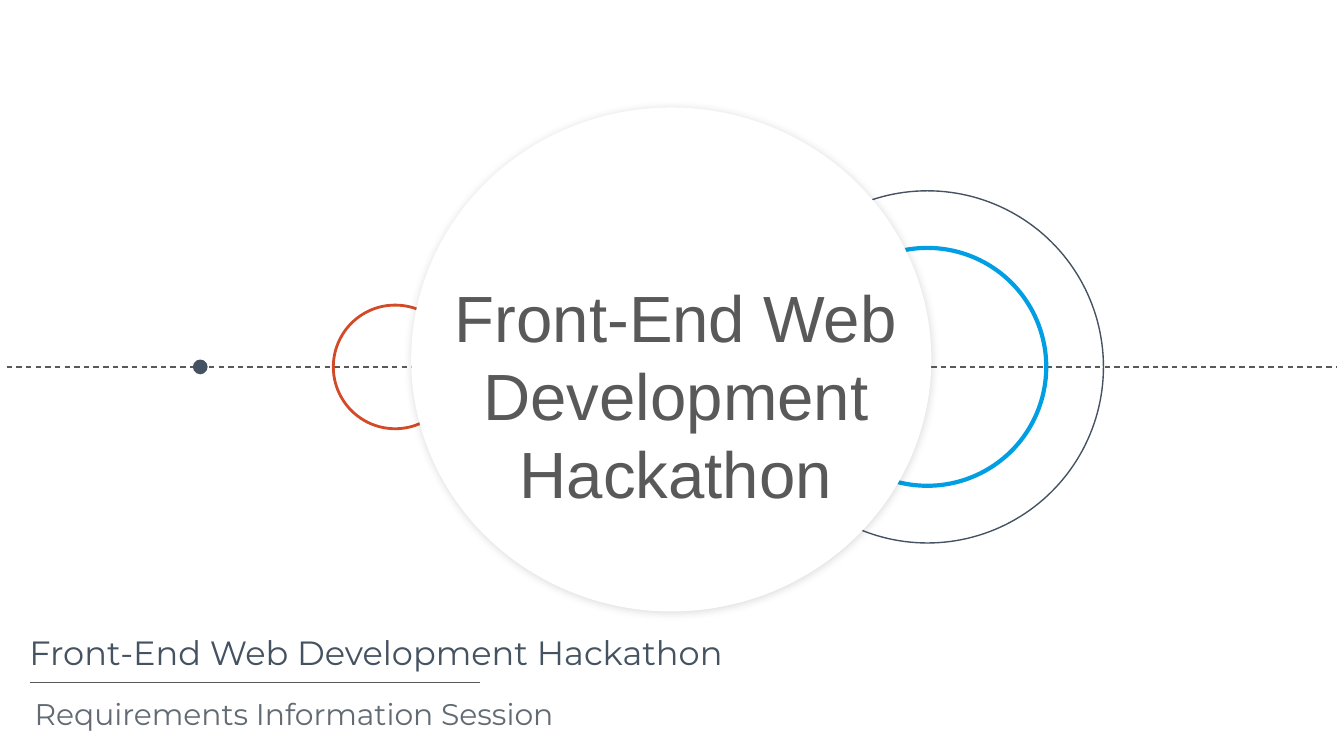
from lxml.etree import SubElement
from pptx import Presentation
from pptx.dml.color import RGBColor
from pptx.enum.dml import MSO_LINE
from pptx.enum.shapes import MSO_CONNECTOR, MSO_SHAPE
from pptx.enum.text import MSO_AUTO_SIZE, PP_ALIGN
from pptx.oxml.ns import qn
from pptx.util import Inches, Pt

WIDTH = 10
HEIGHT = WIDTH * 9 / 16
AXIS = 2.73
NAVY, GREY, BLUE, RED, SLATE, WHITE = "445261", "595959", "009FE3", "D44926", "626B73", "FFFFFF"
TITLE = "Front-End Web Development Hackathon"

CAPTIONS = [
    (TITLE, (0.12, 4.6, 9.47, 0.48), "Montserrat", 18, NAVY, PP_ALIGN.LEFT),
    ("Requirements Information Session", (0.16, 5.08, 9.47, 0.39), "Montserrat", 16, SLATE, PP_ALIGN.LEFT),
]
HEADLINE = (TITLE, (3.28, 1.96, 3.5, 1.97), "Arial", 35, GREY, PP_ALIGN.CENTER)
OUTER_RING = (6.9, 2.62, NAVY, 0.75)
INNER_RINGS = [(6.9, 1.77, BLUE, 2.25), (2.94, 0.92, RED, 1.5)]
DOT = (1.49, 0.11)
DISC = (3.06, 0.8, 3.87, 3.75)


def color(value):
    """Turn a hex string into a colour."""
    return RGBColor.from_string(value)


def add_ellipse(page, area, fill=None, line=None, weight=0):
    """Draw an ellipse with an optional fill and outline."""
    shape = page.shapes.add_shape(MSO_SHAPE.OVAL, *map(Inches, area))
    shape.shadow.inherit = False
    if fill:
        shape.fill.solid()
        shape.fill.fore_color.rgb = color(fill)
    else:
        shape.fill.background()
    if line:
        shape.line.color.rgb = color(line)
        shape.line.width = Pt(weight)
    else:
        shape.line.fill.background()
    return shape


def on_axis(center, size):
    """Return the square area centred on the horizontal axis."""
    return center - size / 2, AXIS - size / 2, size, size


def add_ring(page, center, size, line, weight):
    """Draw an open circle on the axis."""
    add_ellipse(page, on_axis(center, size), line=line, weight=weight)


def add_rule(page, left, right, y, dash=None):
    """Draw a thin horizontal line."""
    rule = page.shapes.add_connector(MSO_CONNECTOR.STRAIGHT, *map(Inches, (left, y, right, y)))
    rule.line.color.rgb = color(GREY)
    rule.line.width = Pt(0.75)
    if dash:
        rule.line.dash_style = dash
    SubElement(rule._element.spPr, qn("a:effectLst"))


def add_shadow(shape, blur, distance, angle, opacity):
    """Give a shape a soft black outer shadow."""
    effects = shape._element.spPr.find(qn("a:effectLst"))
    shadow = SubElement(effects, qn("a:outerShdw"), blurRad=str(Pt(blur)), dist=str(Pt(distance)),
                        dir=str(angle * 60000), algn="ctr", rotWithShape="0")
    tint = SubElement(shadow, qn("a:srgbClr"), val="000000")
    SubElement(tint, qn("a:alpha"), val=str(opacity * 1000))


def add_text(page, text, area, font, size, ink, align):
    """Add a wrapped text box with one paragraph and return its frame."""
    box = page.shapes.add_textbox(*map(Inches, area))
    frame = box.text_frame
    frame.word_wrap = True
    frame.margin_left = frame.margin_right = frame.margin_top = frame.margin_bottom = Inches(0.1)
    para = frame.paragraphs[0]
    para.alignment = align
    span = para.add_run()
    span.text = text
    span.font.name = font
    span.font.size = Pt(size)
    span.font.color.rgb = color(ink)
    return frame


def main():
    """Build and save the slide."""
    deck = Presentation()
    deck.slide_width, deck.slide_height = Inches(WIDTH), Inches(HEIGHT)
    page = deck.slides.add_slide(deck.slide_layouts[6])
    for caption in CAPTIONS:
        add_text(page, *caption)
    add_rule(page, 0.22, 3.57, 5.08)
    add_ring(page, *OUTER_RING)
    add_rule(page, 0.05, WIDTH - 0.05, AXIS, MSO_LINE.DASH)
    add_ellipse(page, on_axis(*DOT), fill=NAVY)
    for ring in INNER_RINGS:
        add_ring(page, *ring)
    disc = add_ellipse(page, DISC, fill=WHITE)
    add_shadow(disc, blur=4.5, distance=0.8, angle=47, opacity=15)
    headline = add_text(page, *HEADLINE)
    headline.auto_size = MSO_AUTO_SIZE.SHAPE_TO_FIT_TEXT
    deck.save("out.pptx")


if __name__ == "__main__":
    main()
